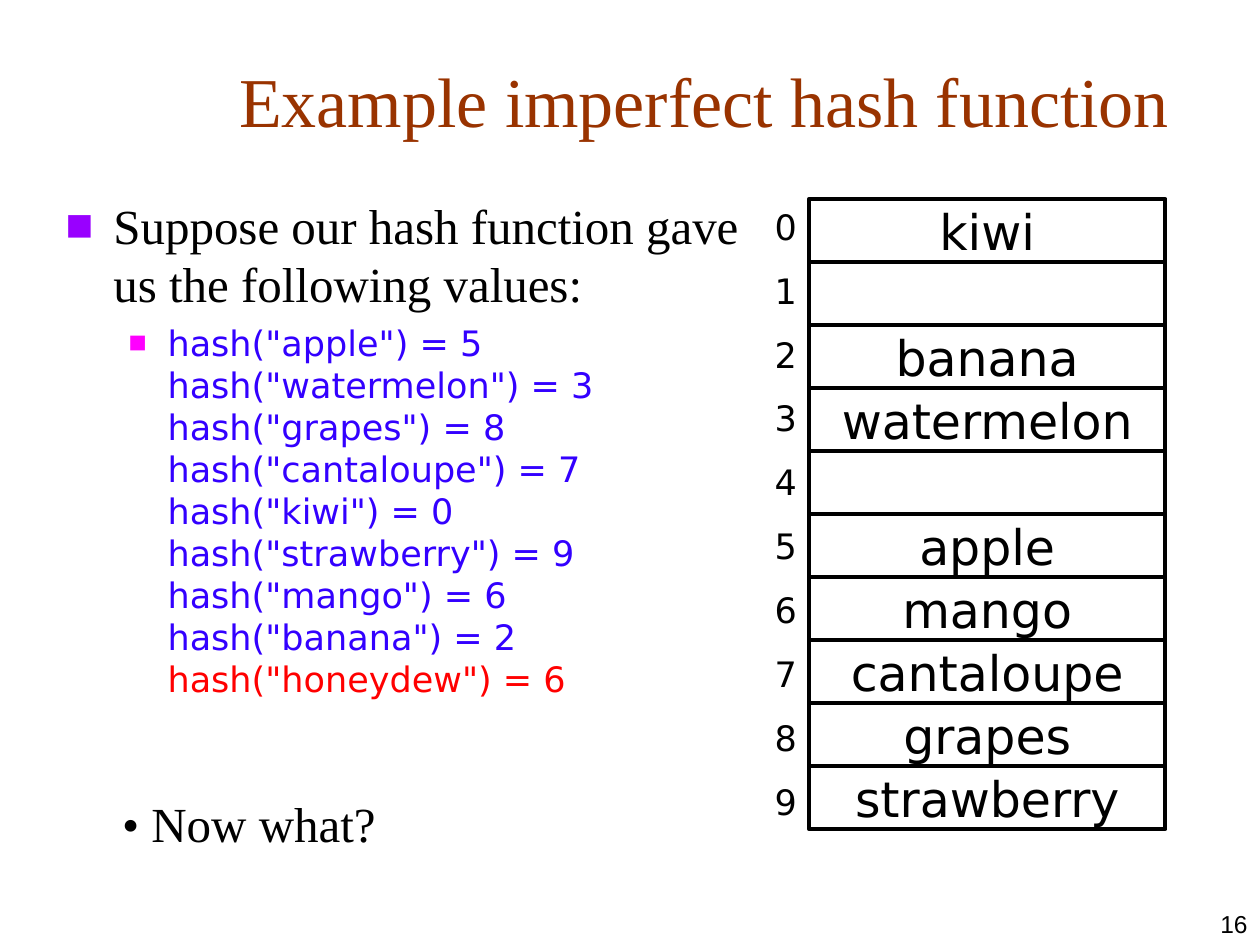
from dataclasses import dataclass

from lxml.etree import SubElement
from pptx import Presentation
from pptx.dml.color import RGBColor
from pptx.enum.shapes import MSO_SHAPE
from pptx.enum.text import MSO_ANCHOR, MSO_AUTO_SIZE, PP_ALIGN
from pptx.oxml.ns import qn
from pptx.util import Inches, Pt


@dataclass(frozen=True)
class Theme:
    serif: str = "Times New Roman"
    sans: str = "DejaVu Sans"
    number_font: str = "Arial"
    black: str = "000000"
    title: str = "993300"
    code: str = "3300FF"
    collision: str = "FF0000"
    bullet: str = "9900FF"
    sub_bullet: str = "FF00FF"
    title_size: float = 40
    large: float = 28
    small: float = 20
    number_size: float = 14
    large_line: float = 33.5
    small_line: float = 24


THEME = Theme()
HASHES = [("apple", 5), ("watermelon", 3), ("grapes", 8), ("cantaloupe", 7),
          ("kiwi", 0), ("strawberry", 9), ("mango", 6), ("banana", 2),
          ("honeydew", 6)]
BUCKETS = ["kiwi", "", "banana", "watermelon", "", "apple", "mango",
           "cantaloupe", "grapes", "strawberry"]


def place(shape, left, top, width, height):
    shape.left, shape.top = Inches(left), Inches(top)
    shape.width, shape.height = Inches(width), Inches(height)


def style(p, font, size, color):
    for r in p.runs:
        r.font.name = font
        r.font.size = Pt(size)
        r.font.color.rgb = RGBColor.from_string(color)


def set_bullet(p, margin, indent, color, percent):
    pPr = p._p.get_or_add_pPr()
    pPr.set("marL", str(Inches(margin)))
    pPr.set("indent", str(Inches(indent)))
    SubElement(SubElement(pPr, qn("a:buClr")), qn("a:srgbClr"), val=color)
    SubElement(pPr, qn("a:buSzPct"), val=str(percent * 1000))
    SubElement(pPr, qn("a:buFont"), typeface=THEME.sans)
    SubElement(pPr, qn("a:buChar"), char="■")


def add_text(shapes, box, text, font, size):
    s = shapes.add_textbox(*map(Inches, box))
    tf = s.text_frame
    tf.word_wrap = False
    tf.text = text
    for p in tf.paragraphs:
        style(p, font, size, THEME.black)
    return tf


def fill_title(s, box):
    place(s, *box)
    tf = s.text_frame
    tf.text = "Example imperfect hash function"
    tf.auto_size = MSO_AUTO_SIZE.NONE
    tf.vertical_anchor = MSO_ANCHOR.BOTTOM
    p = tf.paragraphs[0]
    p.alignment = PP_ALIGN.CENTER
    style(p, THEME.serif, THEME.title_size, THEME.title)


def fill_body(s, box):
    place(s, *box)
    tf = s.text_frame
    tf.auto_size = MSO_AUTO_SIZE.NONE

    # Lead statement
    p = tf.paragraphs[0]
    p.text = "Suppose our hash function gave us the following values:"
    p.line_spacing = Pt(THEME.large_line)
    p.space_before = Pt(0)
    set_bullet(p, 0.38, -0.38, THEME.bullet, 60)
    style(p, THEME.serif, THEME.large, THEME.black)

    # Hash values, with the colliding one highlighted
    p = tf.add_paragraph()
    p.level = 1
    p.text = "\v".join(f'hash("{key}") = {value}' for key, value in HASHES)
    p.line_spacing = Pt(THEME.small_line)
    p.space_before = Pt(5)
    set_bullet(p, 0.81, -0.31, THEME.sub_bullet, 55)
    style(p, THEME.sans, THEME.small, THEME.code)
    p.runs[-1].font.color.rgb = RGBColor.from_string(THEME.collision)


def add_hash_table(shapes, box):
    left, top, width, height = box
    index_width = 0.37
    row_height = height / len(BUCKETS)
    group = shapes.add_group_shape().shapes

    # Buckets
    for i, key in enumerate(BUCKETS):
        s = group.add_shape(
            MSO_SHAPE.FLOWCHART_PROCESS,
            Inches(left + index_width), Inches(top + i * row_height),
            Inches(width - index_width), Inches(row_height))
        s.shadow.inherit = False
        s.fill.background()
        s.line.color.rgb = RGBColor.from_string(THEME.black)
        s.line.width = Pt(2.25)
        if key:
            tf = s.text_frame
            tf.text = key
            tf.word_wrap = False
            tf.vertical_anchor = MSO_ANCHOR.MIDDLE
            p = tf.paragraphs[0]
            p.alignment = PP_ALIGN.CENTER
            style(p, THEME.sans, THEME.large, THEME.black)

    # Bucket indexes
    indexes = "\n".join(str(i) for i in range(len(BUCKETS)))
    tf = add_text(group, (left, top, index_width, height), indexes,
                  THEME.sans, THEME.small)
    for i, p in enumerate(tf.paragraphs):
        p.line_spacing = Pt(THEME.small_line)
        p.space_before = Pt(12.5 if i else 0)


def add_question(shapes, box):
    add_text(shapes, box, "• Now what?", THEME.serif, THEME.large)


def add_slide_number(shapes, box):
    tf = add_text(shapes, box, "16", THEME.number_font, THEME.number_size)
    tf.word_wrap = True
    tf.vertical_anchor = MSO_ANCHOR.BOTTOM
    tf.paragraphs[0].alignment = PP_ALIGN.RIGHT


def main():
    prs = Presentation()
    prs.slide_width, prs.slide_height = Inches(10), Inches(7.5)
    slide = prs.slides.add_slide(prs.slide_layouts[1])
    fill_title(slide.shapes.title, (1.33, 0.25, 8.52, 0.92))
    fill_body(slide.placeholders[1], (0.42, 1.5, 5.61, 4.78))
    add_hash_table(slide.shapes, (6.05, 1.58, 3.2, 5))
    add_question(slide.shapes, (0.87, 6.25, 2.21, 0.57))
    add_slide_number(slide.shapes, (7.92, 7, 2.08, 0.5))
    prs.save("out.pptx")


if __name__ == "__main__":
    main()
